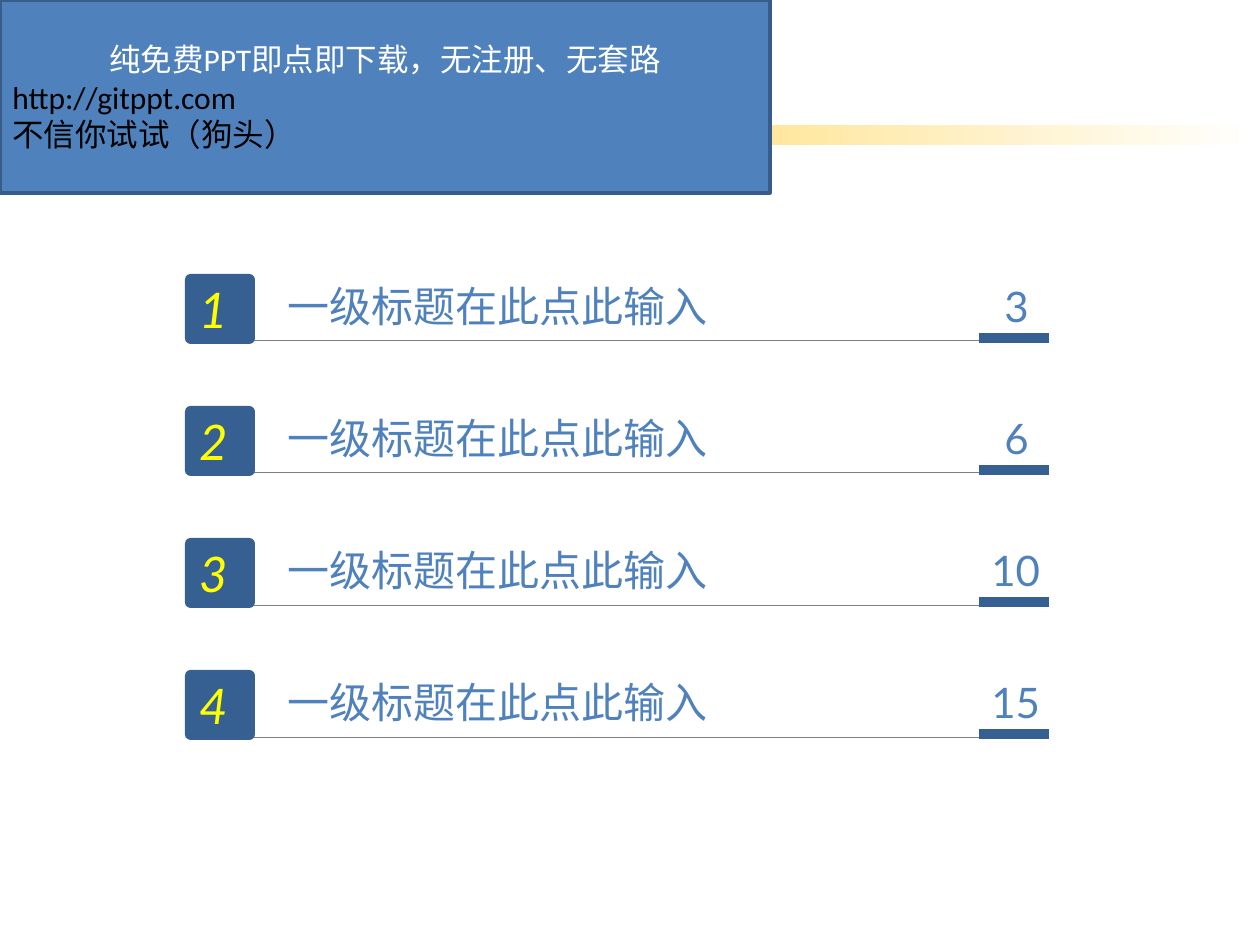
from lxml.etree import SubElement
from pptx import Presentation
from pptx.dml.color import RGBColor
from pptx.enum.shapes import MSO_CONNECTOR as CONN, MSO_SHAPE as SHAPE
from pptx.enum.text import MSO_ANCHOR as ANCHOR, PP_ALIGN as ALIGN
from pptx.oxml.ns import qn
from pptx.util import Pt

# Content
BANNER = [
    ("纯免费PPT即点即下载，无注册、无套路", "center"),
    ("http://gitppt.com", "left"),
    ("不信你试试（狗头）", "left"),
]
CONTENTS = [
    ("一级标题在此点此输入", 3),
    ("一级标题在此点此输入", 6),
    ("一级标题在此点此输入", 10),
    ("一级标题在此点此输入", 15),
]

# Style
BLUE = RGBColor(0x4F, 0x81, 0xBD)
DARK_BLUE = RGBColor(0x37, 0x60, 0x92)
BORDER = RGBColor(0x38, 0x5D, 0x8A)
GOLD = RGBColor(0xFF, 0xC0, 0x00)
YELLOW = RGBColor(0xFF, 0xFF, 0x00)
GREY = RGBColor(0x7F, 0x7F, 0x7F)
WHITE = RGBColor(0xFF, 0xFF, 0xFF)
BLACK = RGBColor(0x00, 0x00, 0x00)
CJK = "Noto Sans CJK SC"

# Layout in px, 126 to the inch
PX = 914400 // 126
SLIDE_W, SLIDE_H = 1260, 945
ROW_TOP, ROW_PITCH = 274, 132
BADGE_X, BADGE = 185, 70
RULE_X, RULE_DY = 195, 67
BAR_X, BAR_END, BAR_DY = 979, 1049, 64
HEADING_X, HEADING_W, TEXT_H = 275, 714, 63
PAGE_BOXES = {1: (992, 59), 2: (979, 77)}  # digits: left, width

prs = Presentation()
prs.slide_width, prs.slide_height = SLIDE_W * PX, SLIDE_H * PX
slide = prs.slides.add_slide(prs.slide_layouts[6])
shapes = slide.shapes


def box(kind, x, y, w, h, color):
    shape = shapes.add_shape(kind, x * PX, y * PX, w * PX, h * PX)
    shape.shadow.inherit = False
    shape.fill.solid()
    shape.fill.fore_color.rgb = color
    shape.line.fill.background()
    return shape


def rule(x1, x2, y, color, width):
    line = shapes.add_connector(CONN.STRAIGHT, x1 * PX, y * PX, x2 * PX, y * PX)
    line.line.color.rgb = color
    line.line.width = Pt(width)
    SubElement(line._element.spPr, qn("a:effectLst"))


def write(paragraph, text, size, color, font="Lato", italic=False, align=ALIGN.LEFT):
    paragraph.alignment = align
    run = paragraph.add_run()
    run.text = text
    run.font.size = Pt(size)
    run.font.name = font
    run.font.italic = italic
    run.font.color.rgb = color
    SubElement(run._r.get_or_add_rPr(), qn("a:ea"), typeface=CJK)


def label(text, x, y, w, wrap, **style):
    frame = shapes.add_textbox(x * PX, y * PX, w * PX, TEXT_H * PX).text_frame
    frame.word_wrap = wrap
    write(frame.paragraphs[0], text, **style)


# Fading gold band
band = box(SHAPE.RECTANGLE, 0, 125, SLIDE_W, 20, GOLD)
band.fill.gradient()
band.fill.gradient_angle = 0
for stop, color, position in zip(band.fill.gradient_stops, (GOLD, WHITE), (0, 1)):
    stop.color.rgb = color
    stop.position = position

# Contents rows
for number, (heading, page) in enumerate(CONTENTS, 1):
    top = ROW_TOP + (number - 1) * ROW_PITCH
    rule(RULE_X, BAR_X, top + RULE_DY, GREY, 0.5)

    badge = box(SHAPE.ROUNDED_RECTANGLE, BADGE_X, top, BADGE, BADGE, DARK_BLUE)
    badge.adjustments[0] = 0.08
    badge.text_frame.vertical_anchor = ANCHOR.MIDDLE
    write(badge.text_frame.paragraphs[0], str(number), 28, YELLOW, italic=True)

    rule(BAR_X, BAR_END, top + BAR_DY, DARK_BLUE, 6)
    label(heading, HEADING_X, top, HEADING_W, True, size=24, color=BLUE, font=CJK)
    page_x, page_w = PAGE_BOXES[len(str(page))]
    label(str(page), page_x, top, page_w, False, size=24, color=BLUE)

# Banner
banner = box(SHAPE.RECTANGLE, 0, 0, 770, 193, BLUE)
banner.line.color.rgb = BORDER
banner.line.width = Pt(2)
frame = banner.text_frame
frame.word_wrap = True
frame.vertical_anchor = ANCHOR.MIDDLE
for i, (text, side) in enumerate(BANNER):
    paragraph = frame.add_paragraph() if i else frame.paragraphs[0]
    centred = side == "center"
    write(paragraph, text, 18, WHITE if centred else BLACK, font="Calibri",
          align=ALIGN.CENTER if centred else ALIGN.LEFT)

prs.save("out.pptx")
